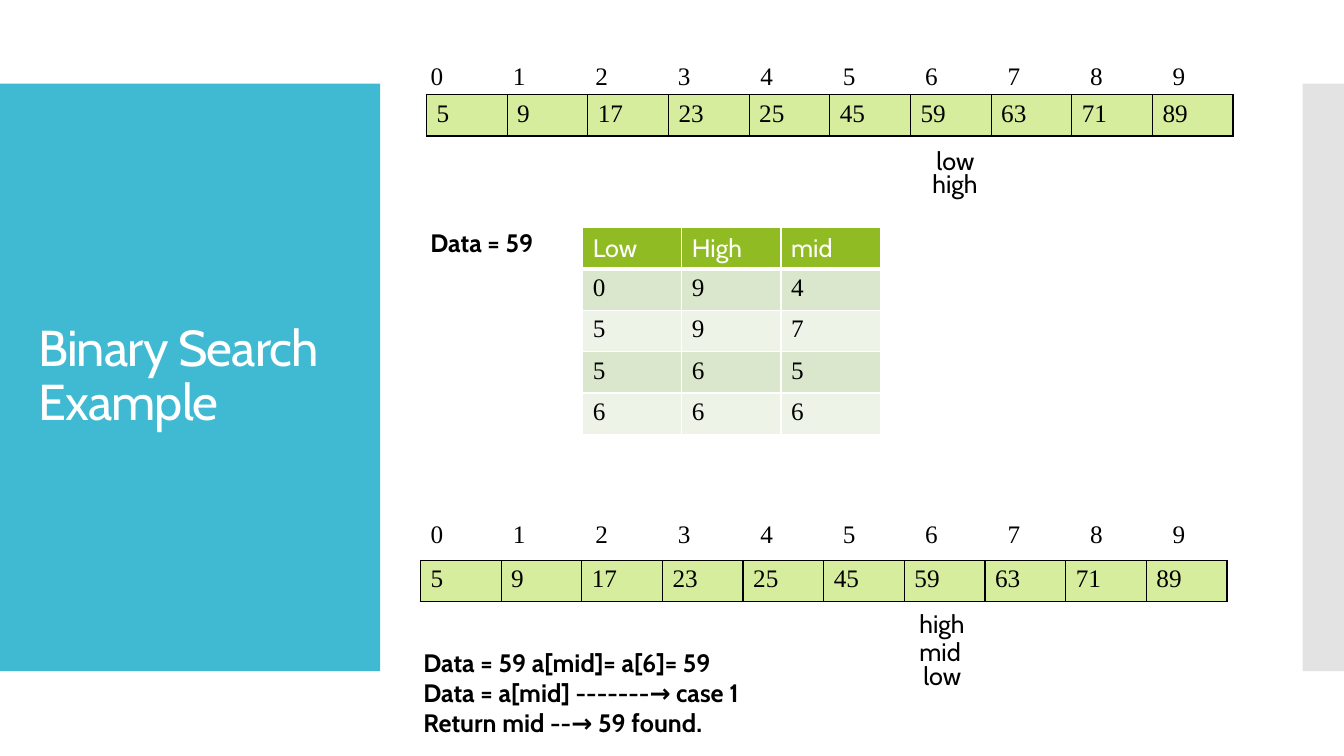
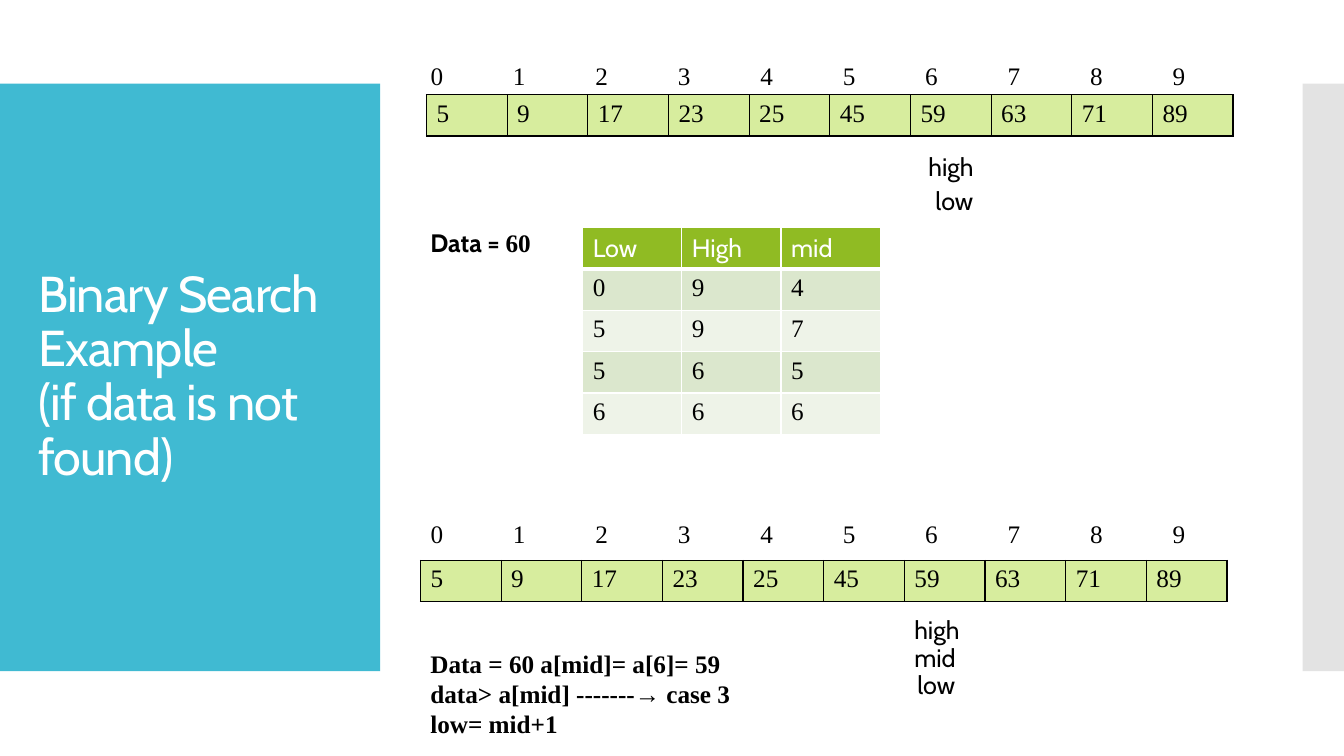
from lxml import etree
from pptx import Presentation
from pptx.dml.color import RGBColor
from pptx.enum.shapes import MSO_SHAPE
from pptx.enum.text import MSO_ANCHOR, MSO_AUTO_SIZE
from pptx.oxml.ns import qn
from pptx.util import Inches, Pt

RECT = MSO_SHAPE.RECTANGLE
MIDDLE = MSO_ANCHOR.MIDDLE
GROW = MSO_AUTO_SIZE.SHAPE_TO_FIT_TEXT
rgb = RGBColor.from_string

# Shared look
SANS, SERIF = "Cabin", "Times New Roman"
BLACK, WHITE = "000000", "FFFFFF"
BLUE, GREY = "40BAD2", "C8C8C8"
LIME, GREEN = "D7ED9E", "90BB23"
BANDS = ["EEF3E8", "DBE7CD"]
PLAIN = "{2D5ABB26-0587-4C30-8999-92F81FD0307C}"  # table style without grid
ROW = 0.41

# Shared data
index = [[str(i) for i in range(10)]]
values = [["5", "9", "17", "23", "25", "45", "59", "63", "71", "89"]]
steps = [["Low", "High", "mid"], ["0", "9", "4"], ["5", "9", "7"],
         ["5", "6", "5"], ["6", "6", "6"]]

# Per slide: markers as (text, left, top); label and result as (text, font) parts
pages = [
    {
        "title": "Binary Search Example",
        "marks": [("low", 9.19, 1.39), ("high", 9.15, 1.62), ("low", 9.06, 6.5),
                  ("high", 9.02, 5.99), ("mid", 9.02, 6.26)],
        "label": [("Data = 59", SANS)],
        "result": (4.1, 6.37, SANS, ["Data = 59 a[mid]= a[6]= 59",
                                     "Data = a[mid] -------→ case 1",
                                     "Return mid --→ 59 found."]),
    },
    {
        "title": "Binary Search Example\v(if data is not found)",
        "marks": [("low", 9.18, 1.79), ("high", 9.11, 1.45), ("low", 9, 6.59),
                  ("high", 8.97, 6.05), ("mid", 8.97, 6.32)],
        "label": [("Data = ", SANS), ("60", SERIF)],
        "result": (4.17, 6.38, SERIF, ["Data = 60 a[mid]= a[6]= 59",
                                       "data> a[mid] -------→ case 3",
                                       "low= mid+1"]),
    },
]


def add_text(slide, x, y, w, h, lines, size=18, color=BLACK, bold=False):
    """Add a text box; each line is a list of (text, font) parts."""
    box = slide.shapes.add_textbox(Inches(x), Inches(y), Inches(w), Inches(h))
    frame = box.text_frame
    frame.word_wrap = True
    frame.text = "\n".join("".join(text for text, _ in line) for line in lines)
    for para, line in zip(frame.paragraphs, lines):
        if len(line) > 1:
            para.clear()
            for text, _ in line:
                para.add_run().text = text
        for i, run in enumerate(para.runs):
            run.font.name = line[min(i, len(line) - 1)][1]
            run.font.size = Pt(size)
            run.font.bold = bold
            run.font.color.rgb = rgb(color)
    return frame


def add_grid(slide, x, y, w, rows, fills, edge=None, head=False):
    """Add a table with one fill per row and optional cell borders."""
    cols = len(rows[0])
    table = slide.shapes.add_table(len(rows), cols, Inches(x), Inches(y), Inches(w),
                                   Inches(ROW * len(rows))).table
    table.first_row = head
    table.horz_banding = False
    table._tbl.tblPr.find(qn("a:tableStyleId")).text = PLAIN
    for col in table.columns:
        col.width = Inches(w / cols)
    for r, row in enumerate(rows):
        top = head and r == 0
        for c, text in enumerate(row):
            cell = table.cell(r, c)
            cell.text = text
            font = cell.text_frame.paragraphs[0].runs[0].font
            font.name = SANS if top else SERIF
            font.size = Pt(18)
            font.color.rgb = rgb(WHITE if top else BLACK)
            if edge:
                props = cell._tc.get_or_add_tcPr()
                for side in "LRTB":
                    # Thick rule between the head row and the body
                    thick = head and (r, side) in ((0, "B"), (1, "T"))
                    line = etree.SubElement(props, qn("a:ln" + side),
                                            w=str(Pt(3 if thick else 1)))
                    paint = etree.SubElement(line, qn("a:solidFill"))
                    etree.SubElement(paint, qn("a:srgbClr"), val=edge)
            if fills[r]:
                cell.fill.solid()
                cell.fill.fore_color.rgb = rgb(fills[r])
            else:
                cell.fill.background()


prs = Presentation()
prs.slide_width, prs.slide_height = Inches(13.33), Inches(7.5)

for page in pages:
    slide = prs.slides.add_slide(prs.slide_layouts[6])

    # Side bands
    for x, w, color, alpha in [(0, 3.77, BLUE, 100), (12.92, 0.42, GREY, 50)]:
        band = slide.shapes.add_shape(RECT, Inches(x), Inches(0.83),
                                      Inches(w), Inches(5.83))
        band.shadow.inherit = False
        band.line.fill.background()
        band.fill.solid()
        band.fill.fore_color.rgb = rgb(color)
        if alpha < 100:
            tint = band._element.spPr.find(".//" + qn("a:srgbClr"))
            etree.SubElement(tint, qn("a:alpha"), val=str(alpha * 1000))

    # Title
    frame = add_text(slide, 0.28, 1.23, 3.22, 5.03, [[(page["title"], SANS)]], 36, WHITE)
    frame.vertical_anchor = MIDDLE
    frame.paragraphs[0].line_spacing = 0.9
    for run in frame.paragraphs[0].runs:
        run.font._element.set("spc", "-60")

    # Arrays with their index rows, and the search steps
    add_grid(slide, 4.23, 0.94, 8, values, [LIME], BLACK)
    add_grid(slide, 5.78, 2.26, 2.95, steps,
             [GREEN] + [BANDS[r % 2] for r in range(1, len(steps))], WHITE, True)
    for y in (0.58, 5.12):
        add_grid(slide, 4.17, y, 8.18, index, [None])
    add_grid(slide, 4.17, 5.56, 8, values, [LIME], BLACK)

    # Markers below the arrays
    for text, x, y in page["marks"]:
        width = 0.67 if text == "low" else 0.74
        add_text(slide, x, y, width, 0.4, [[(text, SANS)]]).auto_size = GROW

    # Sought value and result
    add_text(slide, 4.17, 2.21, 8.5, 0.4, [page["label"]], bold=True).auto_size = GROW
    x, y, face, lines = page["result"]
    add_text(slide, x, y, 8.5, 1.01, [[(line, face)] for line in lines],
             bold=True).auto_size = GROW

prs.save("out.pptx")
